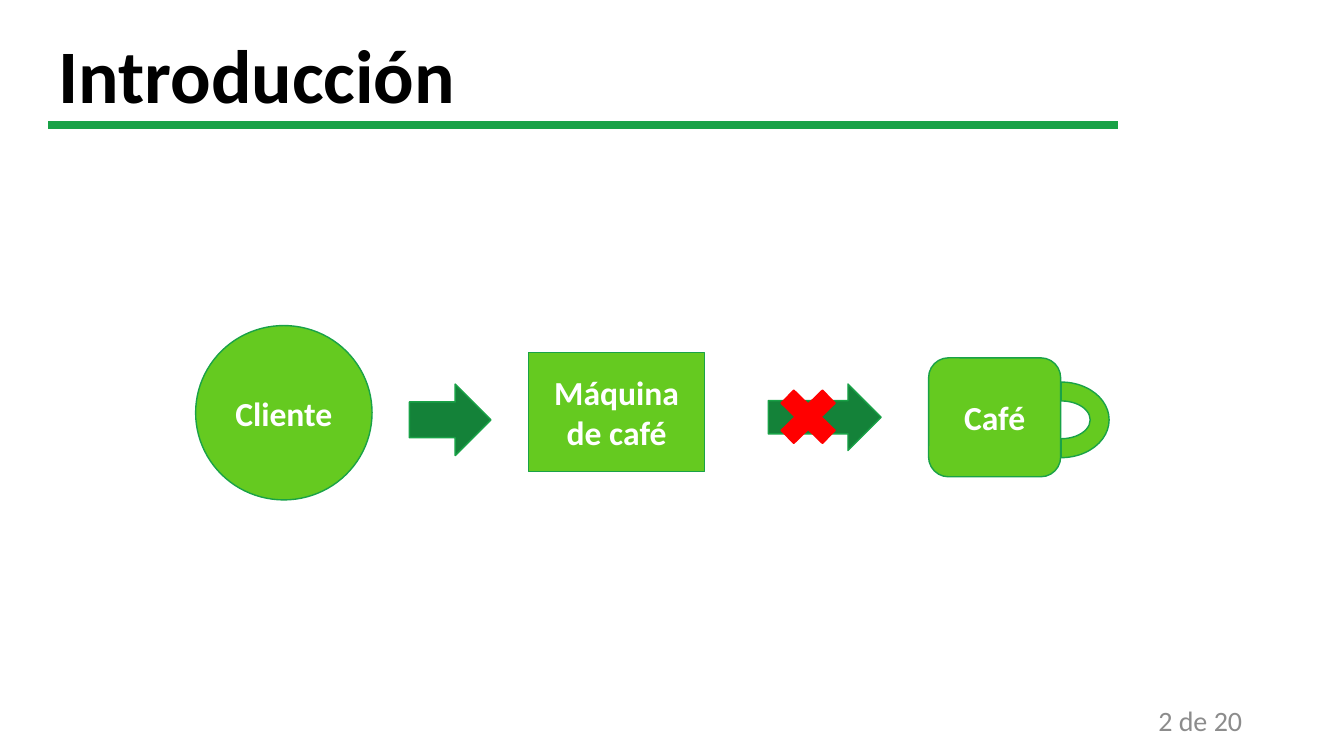
from dataclasses import dataclass

from lxml import etree
from pptx import Presentation
from pptx import util as u
from pptx.dml.color import RGBColor
from pptx.enum import shapes, text
from pptx.oxml.ns import qn
from pptx.slide import Slide
from pptx.text.text import TextFrame

PX = 9144  # EMU, 100 px to the inch

BLACK = RGBColor(0x00, 0x00, 0x00)
WHITE = RGBColor(0xFF, 0xFF, 0xFF)
GRAY = RGBColor(0x8C, 0x8C, 0x8C)
LIME = RGBColor(0x65, 0xCA, 0x20)
GREEN = RGBColor(0x19, 0xA2, 0x47)
DARK_GREEN = RGBColor(0x14, 0x82, 0x39)
RED = RGBColor(0xFF, 0x00, 0x00)

Kind = shapes.MSO_SHAPE
Align = text.PP_ALIGN
Anchor = text.MSO_ANCHOR


@dataclass(frozen=True)
class Box:
    left: int
    top: int
    width: int
    height: int

    def emu(self) -> tuple[int, int, int, int]:
        return self.left * PX, self.top * PX, self.width * PX, self.height * PX


@dataclass(frozen=True)
class Label:
    wording: str
    size: int
    color: RGBColor
    bold: bool = False
    align: Align = Align.LEFT
    anchor: Anchor = Anchor.TOP


@dataclass(frozen=True)
class Figure:
    kind: Kind
    box: Box
    fill: RGBColor = LIME
    line: RGBColor = GREEN
    rotation: int = 0
    wording: str = ""


TEXTS = [
    (Box(48, 23, 667, 101), Label("Introducción", 54, BLACK, bold=True)),
    (Box(942, 695, 300, 40),
     Label("2 de 20", 20, GRAY, align=Align.RIGHT, anchor=Anchor.MIDDLE)),
]

FIGURES = [
    Figure(Kind.RECTANGLE, Box(524, 350, 175, 118), wording="Máquina de café"),
    Figure(Kind.OVAL, Box(194, 323, 175, 173), wording="Cliente"),
    Figure(Kind.RIGHT_ARROW, Box(406, 381, 81, 71), fill=DARK_GREEN),
    Figure(Kind.RIGHT_ARROW, Box(762, 381, 112, 66), fill=DARK_GREEN),
    Figure(Kind.MATH_MULTIPLY, Box(762, 375, 79, 77), fill=RED, line=RED),
    Figure(Kind.ROUNDED_RECTANGLE, Box(921, 355, 131, 118), wording="Café"),
    Figure(Kind.BLOCK_ARC, Box(1015, 369, 75, 95), rotation=90),
]


def write_label(frame: TextFrame, label: Label) -> None:
    frame.word_wrap = True
    frame.vertical_anchor = label.anchor
    paragraph = frame.paragraphs[0]
    paragraph.text = label.wording
    paragraph.alignment = label.align
    font = paragraph.font
    font.name = "Calibri"
    font.size = u.Pt(label.size)
    font.bold = label.bold
    font.color.rgb = label.color


def add_text(slide: Slide, box: Box, label: Label) -> None:
    write_label(slide.shapes.add_textbox(*box.emu()).text_frame, label)


def add_figure(slide: Slide, figure: Figure) -> None:
    shape = slide.shapes.add_shape(figure.kind, *figure.box.emu())
    shape.shadow.inherit = False
    shape.rotation = figure.rotation
    shape.fill.solid()
    shape.fill.fore_color.rgb = figure.fill
    shape.line.color.rgb = figure.line
    shape.line.width = u.Pt(1)
    if figure.wording:
        label = Label(figure.wording, 24, WHITE, bold=True,
                      align=Align.CENTER, anchor=Anchor.MIDDLE)
        write_label(shape.text_frame, label)


def add_title_rule(slide: Slide, left: int, right: int, y: int) -> None:
    rule = slide.shapes.add_connector(
        shapes.MSO_CONNECTOR.STRAIGHT, left * PX, y * PX, right * PX, y * PX)
    rule.line.color.rgb = GREEN
    rule.line.width = u.Pt(6)
    properties = rule.element.find(qn("p:spPr"))
    etree.SubElement(properties, qn("a:effectLst"))


def main() -> None:
    presentation = Presentation()
    presentation.slide_width = 1333 * PX
    presentation.slide_height = 750 * PX
    slide = presentation.slides.add_slide(presentation.slide_layouts[6])
    for box, label in TEXTS:
        add_text(slide, box, label)
    for figure in FIGURES:
        add_figure(slide, figure)
    add_title_rule(slide, left=48, right=1109, y=124)
    presentation.save("out.pptx")


if __name__ == "__main__":
    main()
